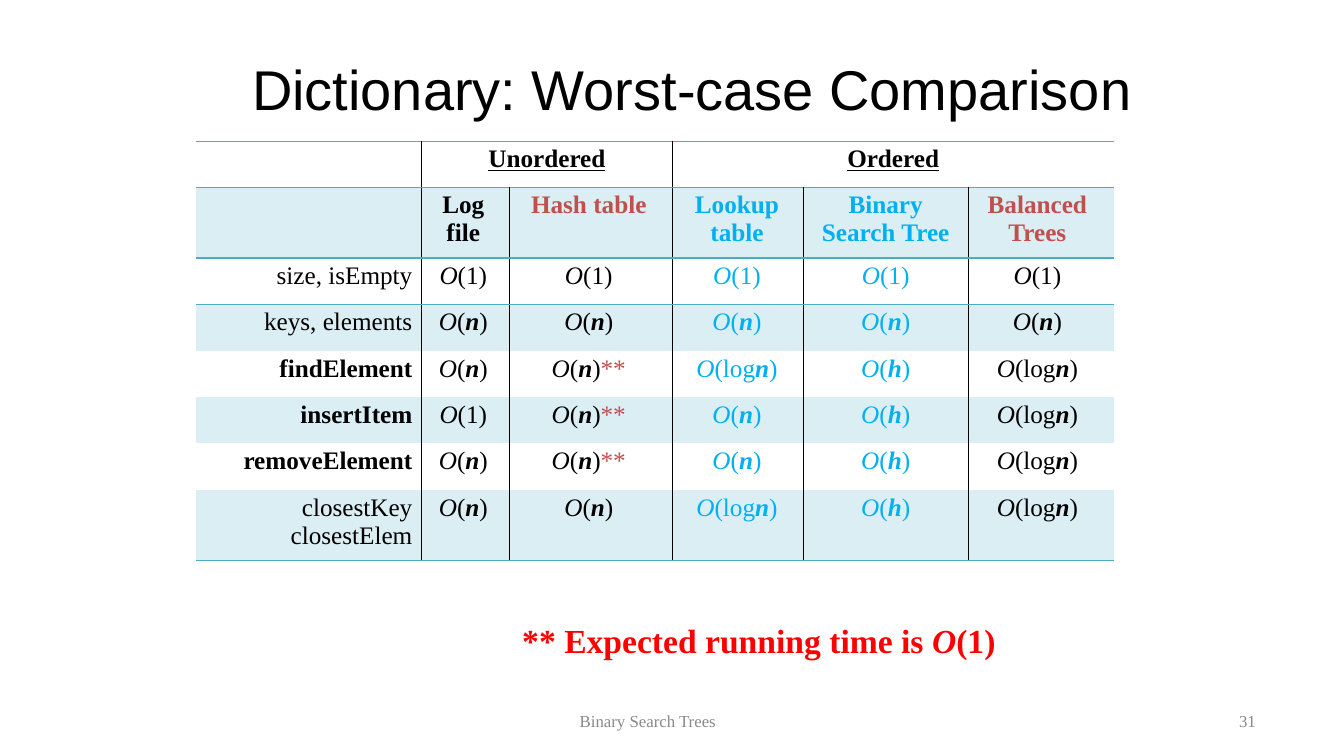
"""Build the slide comparing worst-case dictionary running times."""
from lxml import etree
from pptx import Presentation
from pptx.dml.color import RGBColor
from pptx.enum.text import MSO_ANCHOR, PP_ALIGN
from pptx.oxml.ns import qn
from pptx.util import Inches, Pt

LEFT, CENTER, RIGHT = PP_ALIGN.LEFT, PP_ALIGN.CENTER, PP_ALIGN.RIGHT
TOP = MSO_ANCHOR.TOP
BLACK, BLUE, BRICK, RED, GRAY = "000000", "00B0F0", "C0504D", "FF0000", "898989"
TEAL, BAND = "4BACC6", "DBEEF4"
SANS, SERIF = "Arial", "Times New Roman"
PLAIN_TABLE = "{2D5ABB26-0587-4C30-8999-92F81FD0307C}"

COLUMN_WIDTHS = [2.24, 0.87, 1.62, 1.3, 1.64, 1.44]
RIGHT_INSETS = [0.09, 0.04, 0.04, 0.02, 0.01, 0.08]
COLUMN_COLORS = [BLACK, BLACK, BLACK, BLUE, BLUE, BLACK]
SHORT_ROW, TALL_ROW = 0.46, 0.7
HEADER_INSET = 0.15
GROUPS = [("Unordered", 1, 2), ("Ordered", 3, 5)]
STRUCTURES = [
    ("Log file", BLACK),
    ("Hash table", BRICK),
    ("Lookup table", BLUE),
    ("Binary Search Tree", BLUE),
    ("Balanced Trees", BRICK),
]
OPERATIONS = [
    ("size, isEmpty", False, ["1", "1", "1", "1", "1"]),
    ("keys, elements", False, ["n", "n", "n", "n", "n"]),
    ("findElement", True, ["n", "n**", "logn", "h", "logn"]),
    ("insertItem", True, ["1", "n**", "n", "h", "logn"]),
    ("removeElement", True, ["n", "n**", "n", "h", "logn"]),
    ("closestKey closestElem", False, ["n", "n", "logn", "h", "logn"]),
]


def color(hex_value):
    return RGBColor.from_string(hex_value)


def apply_format(target, values):
    for name, value in values.items():
        setattr(target, name, value)


def complexity(growth):
    bound = growth.rstrip("*")
    runs = [("O", {"italic": True})]
    if bound == "1":
        runs.append(("(1)", {}))
    else:
        runs += [("(" + bound[:-1], {}), (bound[-1], {"bold": True, "italic": True}), (")", {})]
    if growth != bound:
        runs.append(("**", {"color": BRICK}))
    return runs


class SlideBuilder:
    def __init__(self, slide):
        self.slide = slide

    def fill_text(self, frame, runs, font, paragraph_format):
        paragraph = frame.paragraphs[0]
        apply_format(paragraph, paragraph_format)
        for text, changes in runs:
            run = paragraph.add_run()
            run.text = text
            values = {"name": SERIF, "bold": False, "italic": False, **font, **changes}
            run.font.color.rgb = color(values.pop("color"))
            apply_format(run.font, values)

    def set_frame(self, frame, top_inset):
        apply_format(frame, {
            "word_wrap": True, "vertical_anchor": TOP,
            "margin_left": Inches(0.01), "margin_right": 0,
            "margin_top": Inches(top_inset), "margin_bottom": 0,
        })

    def title(self, text, left, top, width, height):
        title = self.slide.shapes.title
        apply_format(title, {"left": Inches(left), "top": Inches(top),
                             "width": Inches(width), "height": Inches(height)})
        self.set_frame(title.text_frame, 0.01)
        self.fill_text(title.text_frame, [(text, {})],
                       {"name": SANS, "size": Pt(40), "color": BLACK},
                       {"alignment": LEFT, "space_before": Pt(1)})

    def text(self, runs, left, top, width, height, font, top_inset=0):
        box = self.slide.shapes.add_textbox(
            Inches(left), Inches(top), Inches(width), Inches(height))
        self.set_frame(box.text_frame, top_inset)
        self.fill_text(box.text_frame, runs, font, {"alignment": LEFT})

    def table(self, left, top, column_widths, row_heights):
        frame = self.slide.shapes.add_table(
            len(row_heights), len(column_widths), Inches(left), Inches(top),
            Inches(sum(column_widths)), Inches(sum(row_heights)))
        table = frame.table
        apply_format(table, {"first_row": False, "horz_banding": False})
        frame._element.find(".//" + qn("a:tableStyleId")).text = PLAIN_TABLE
        for column, width in zip(table.columns, column_widths):
            column.width = Inches(width)
        for row, height in zip(table.rows, row_heights):
            row.height = Inches(height)
        return table

    def cell_style(self, cell, right_inset, side_inset, fill, edges):
        apply_format(cell, {
            "vertical_anchor": TOP,
            "margin_left": Inches(side_inset), "margin_right": Inches(right_inset + side_inset),
            "margin_top": Inches(0.04), "margin_bottom": 0,
        })
        if fill:
            cell.fill.solid()
            cell.fill.fore_color.rgb = color(fill)
        else:
            cell.fill.background()
        properties = cell._tc.get_or_add_tcPr()
        for position, (side, line_color) in enumerate(edges):
            line = etree.Element(qn("a:ln" + side), w=str(Pt(1)))
            solid = etree.SubElement(line, qn("a:solidFill"))
            etree.SubElement(solid, qn("a:srgbClr"), val=line_color)
            properties.insert(position, line)

    def cell_text(self, cell, runs, font, alignment=CENTER):
        self.fill_text(cell.text_frame, runs, {"size": Pt(18), **font},
                       {"alignment": alignment, "space_before": Pt(2.5)})


def cell_edges(row, column, last_row):
    dividers = {1, 3} if row == 0 else {1, 2, 3, 4}
    rules = {0, 1, 2, last_row + 1}
    candidates = [
        ("L", BLACK, column in dividers),
        ("R", BLACK, column + 1 in dividers),
        ("T", TEAL, row in rules),
        ("B", TEAL, row + 1 in rules),
    ]
    return [(side, line_color) for side, line_color, drawn in candidates if drawn]


def add_comparison(builder):
    row_heights = [SHORT_ROW, TALL_ROW] + [SHORT_ROW] * 5 + [TALL_ROW]
    table = builder.table(1.94, 1.4, COLUMN_WIDTHS, row_heights)
    last_row = len(row_heights) - 1
    for row in range(len(row_heights)):
        for column, right_inset in enumerate(RIGHT_INSETS):
            builder.cell_style(
                table.cell(row, column), right_inset if row else 0,
                HEADER_INSET if row == 1 and column else 0,
                BAND if row % 2 else None, cell_edges(row, column, last_row))

    for group, first, last in GROUPS:
        heading = table.cell(0, first)
        heading.merge(table.cell(0, last))
        builder.cell_text(heading, [(group, {})],
                          {"bold": True, "underline": True, "color": BLACK})
    for column, (structure, shade) in enumerate(STRUCTURES, 1):
        builder.cell_text(table.cell(1, column), [(structure, {})],
                          {"bold": True, "color": shade})
    for row, (operation, emphasized, growths) in enumerate(OPERATIONS, 2):
        builder.cell_text(table.cell(row, 0), [(operation, {})],
                          {"bold": emphasized, "color": BLACK}, RIGHT)
        for column, growth in enumerate(growths, 1):
            builder.cell_text(table.cell(row, column), complexity(growth),
                              {"color": COLUMN_COLORS[column]})


def main():
    deck = Presentation()
    apply_format(deck, {"slide_width": Inches(13.33), "slide_height": Inches(7.5)})
    builder = SlideBuilder(deck.slides.add_slide(deck.slide_layouts[5]))
    builder.title("Dictionary: Worst-case Comparison", 2.49, 0.53, 10.5, 0.69)
    add_comparison(builder)
    builder.text([("** Expected running time is ", {}), ("O", {"italic": True}), ("(1)", {})],
                 5.17, 6.13, 5.2, 0.4, {"size": Pt(24), "bold": True, "color": RED}, 0.02)
    footer_font = {"size": Pt(12), "color": GRAY}
    builder.text([("Binary Search Trees", {})], 5.74, 7.05, 1.85, 0.2, footer_font)
    builder.text([("31", {})], 12.28, 7.05, 0.35, 0.2, footer_font)
    deck.save("out.pptx")


if __name__ == "__main__":
    main()
